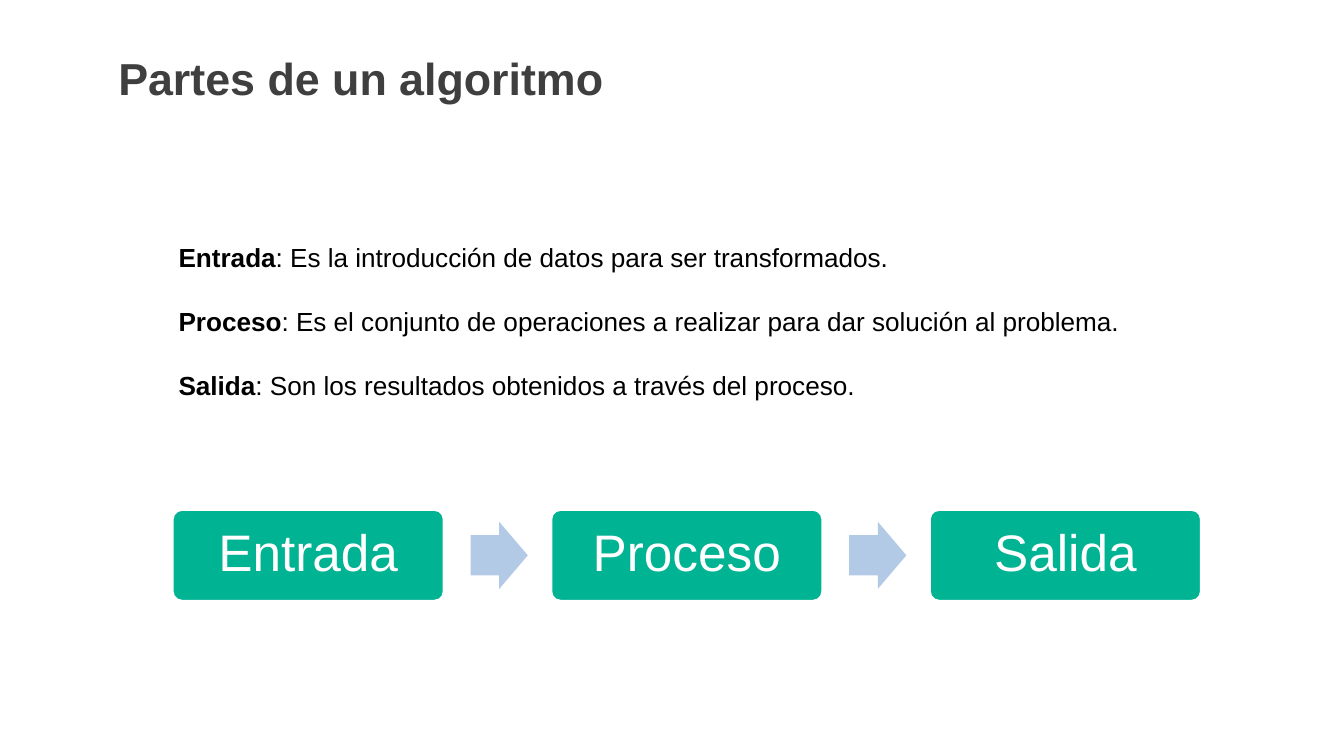
from pptx import Presentation
from pptx.dml.color import RGBColor
from pptx.enum import shapes, text
from pptx.util import Cm, Pt

# Content
TITLE = "Partes de un algoritmo"
PARTS = [
    ("Entrada", "Es la introducción de datos para ser transformados."),
    ("Proceso", "Es el conjunto de operaciones a realizar para dar solución al problema."),
    ("Salida", "Son los resultados obtenidos a través del proceso."),
]


class Theme:
    font = "Arial"
    dark, black, white, green, blue = (
        RGBColor.from_string(c)
        for c in ("3F3F3F", "000000", "FFFFFF", "00B393", "B3CAE7"))
    head, body, step = Pt(48), Pt(28), Pt(55)


# Layout of the flow, in cm
LEFT, TOP, WIDE, HIGH, PITCH = 6.53, 19.28, 10.24, 3.43, 14.31
ARROW_GAP, ARROW_W, ARROW_H = 1.02, 2.16, 2.54


def style(run, size, color, bold=False):
    font = run.font
    font.name, font.size, font.bold = Theme.font, size, bold
    font.color.rgb = color


def setup(frame, x, y, anchor):
    frame.word_wrap = True
    frame.margin_left = frame.margin_right = Cm(x)
    frame.margin_top = frame.margin_bottom = Cm(y)
    frame.vertical_anchor = anchor


def add_block(slide, kind, x, y, w, h, fill):
    shape = slide.shapes.add_shape(kind, Cm(x), Cm(y), Cm(w), Cm(h))
    shape.shadow.inherit = False
    shape.fill.solid()
    shape.fill.fore_color.rgb = fill
    shape.line.fill.background()
    return shape


def add_title(slide):
    title = slide.shapes.title
    title.left, title.top, title.width, title.height = Cm(4.09), Cm(1.96), Cm(43), Cm(2.3)
    frame = title.text_frame
    setup(frame, 0.38, 0.18, text.MSO_ANCHOR.TOP)
    frame.text = TITLE
    para = frame.paragraphs[0]
    para.alignment, para.line_spacing = text.PP_ALIGN.LEFT, 0.9
    style(para.runs[0], Theme.head, Theme.dark, True)


def add_notions(slide):
    box = slide.shapes.add_textbox(Cm(6.5), Cm(8.99), Cm(41.78), Cm(6.25))
    frame = box.text_frame
    setup(frame, 0.25, 0.13, text.MSO_ANCHOR.TOP)
    for i, (name, note) in enumerate(PARTS):
        para = frame.paragraphs[0] if i == 0 else frame.add_paragraph()
        para.alignment, para.space_after = text.PP_ALIGN.JUSTIFY, Pt(34.8)
        for words, bold in ((name, True), (": " + note, False)):
            run = para.add_run()
            run.text = words
            style(run, Theme.body, Theme.black, bold)


def add_flow(slide):
    for i, (name, _) in enumerate(PARTS):
        x = LEFT + i * PITCH
        # Step
        box = add_block(slide, shapes.MSO_SHAPE.ROUNDED_RECTANGLE,
                        x, TOP, WIDE, HIGH, Theme.green)
        box.adjustments[0] = 0.1
        box.line.color.rgb, box.line.width = Theme.white, Pt(2)
        frame = box.text_frame
        setup(frame, 0.6, 0, text.MSO_ANCHOR.MIDDLE)
        frame.text = name
        para = frame.paragraphs[0]
        para.alignment, para.line_spacing = text.PP_ALIGN.CENTER, 0.9
        style(para.runs[0], Theme.step, Theme.white)
        # Arrow to the next step
        if i < len(PARTS) - 1:
            arrow = add_block(slide, shapes.MSO_SHAPE.RIGHT_ARROW,
                              x + WIDE + ARROW_GAP, TOP + (HIGH - ARROW_H) / 2,
                              ARROW_W, ARROW_H, Theme.blue)
            arrow.adjustments[0], arrow.adjustments[1] = 0.6, 0.5


def main():
    deck = Presentation()
    deck.slide_width, deck.slide_height = Cm(50.8), Cm(28.58)
    slide = deck.slides.add_slide(deck.slide_layouts[5])
    add_title(slide)
    add_flow(slide)
    add_notions(slide)
    deck.save("out.pptx")


if __name__ == "__main__":
    main()
